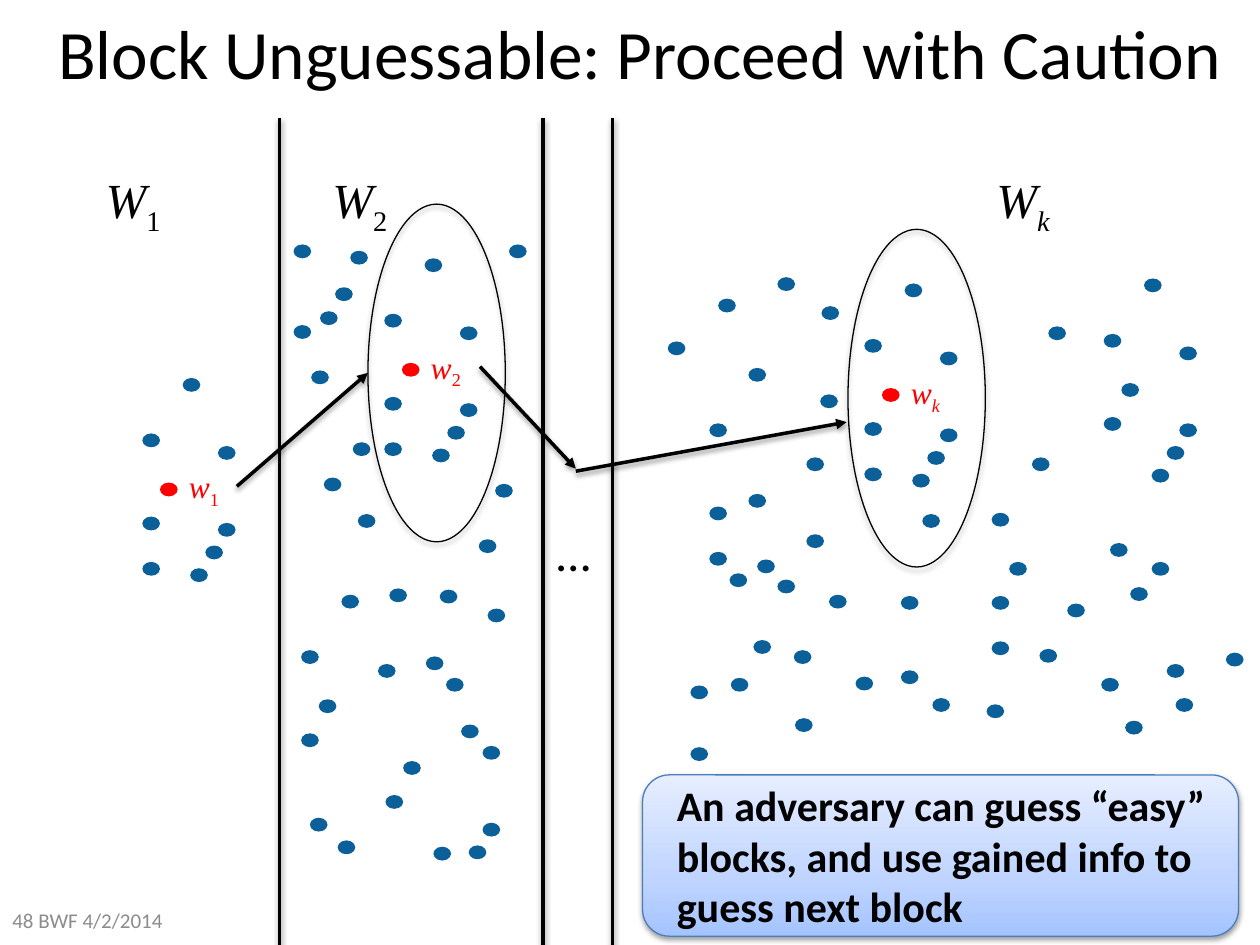
import pptx
import pptx.util
import pptx.dml.color
import pptx.enum.shapes
import pptx.enum.text
import pptx.oxml
import pptx.oxml.ns
from pptx.util import Inches

COLORS = {"ink": "000000", "dot": "0B609A", "guess": "FF0000",
          "edge": "4B7EBC", "footer": "8C8C8C"}
GRADIENT = [(0, "A4C4FF"), (35, "BFD4FF"), (100, "E6EEFF")]
SHAPES = pptx.enum.shapes.MSO_SHAPE
ANCHOR = pptx.enum.text.MSO_ANCHOR
ALIGN = pptx.enum.text.PP_ALIGN
QN = pptx.oxml.ns.qn


def rgb(name):
    return pptx.dml.color.RGBColor.from_string(COLORS[name])


def xml(tag, attrs="", inner=""):
    return pptx.oxml.parse_xml(
        f'<a:{tag} {pptx.oxml.ns.nsdecls("a")} {attrs}>{inner}</a:{tag}>')


class Deck:
    serif = "Times New Roman"
    sans = "Calibri"
    dot_size = (0.14, 0.11)

    def __init__(self):
        self.prs = pptx.Presentation()
        self.prs.slide_width, self.prs.slide_height = Inches(10), Inches(7.5)
        self.s = self.prs.slides.add_slide(self.prs.slide_layouts[6])

    def add_text(self, p, text, color="ink", baseline=0, **fmt):
        r = p.add_run()
        r.text = text
        r.font.color.rgb = rgb(color)
        for name, value in fmt.items():
            setattr(r.font, name, pptx.util.Pt(value) if name == "size" else value)
        if baseline:
            r.font._element.set("baseline", str(baseline * 1000))

    def frame(self, x, y, w, h, wrap=True, anchor=ANCHOR.TOP):
        tf = self.s.shapes.add_textbox(*map(Inches, (x, y, w, h))).text_frame
        tf.word_wrap = wrap
        tf.vertical_anchor = anchor
        return tf

    def label(self, x, y, w, h, text, wrap=True, anchor=ANCHOR.TOP,
              align=ALIGN.LEFT, **fmt):
        """Plain text in the sans font."""
        p = self.frame(x, y, w, h, wrap, anchor).paragraphs[0]
        p.alignment = align
        self.add_text(p, text, name=self.sans, **fmt)

    def variable(self, x, y, w, h, letter, index, size, color="ink", wrap=True):
        """Italic letter with a subscript."""
        p = self.frame(x, y, w, h, wrap).paragraphs[0]
        fmt = {"name": self.serif, "size": size, "color": color}
        self.add_text(p, letter, italic=True, **fmt)
        self.add_text(p, index, italic=index.isalpha(), baseline=-25, **fmt)

    def shadow(self, obj, alpha, dist):
        spPr = obj._element.spPr
        for old in spPr.findall(QN("a:effectLst")):
            spPr.remove(old)
        spPr.append(xml("effectLst", inner=(
            f'<a:outerShdw blurRad="{pptx.util.Pt(3.1)}" dist="{pptx.util.Pt(dist)}" '
            f'dir="5400000" rotWithShape="0"><a:srgbClr val="{COLORS["ink"]}">'
            f'<a:alpha val="{alpha * 1000}"/></a:srgbClr></a:outerShdw>')))

    def shape(self, kind, x, y, w, h, fill=None, line=None):
        sp = self.s.shapes.add_shape(kind, *map(Inches, (x, y, w, h)))
        sp.shadow.inherit = False
        if fill:
            sp.fill.solid()
            sp.fill.fore_color.rgb = rgb(fill)
        else:
            sp.fill.background()
        if line:
            sp.line.color.rgb = rgb(line)
            sp.line.width = pptx.util.Pt(0.75)
        else:
            sp.line.fill.background()
        return sp

    def dot(self, x, y, color="dot"):
        self.shape(SHAPES.OVAL, x, y, *self.dot_size, fill=color)

    def line(self, x1, y1, x2, y2, arrow=False):
        c = self.s.shapes.add_connector(
            pptx.enum.shapes.MSO_CONNECTOR.STRAIGHT, *map(Inches, (x1, y1, x2, y2)))
        c.line.color.rgb = rgb("ink")
        c.line.width = pptx.util.Pt(2)
        if arrow:
            c._element.spPr.find(QN("a:ln")).append(xml("tailEnd", 'type="triangle"'))
        self.shadow(c, 38, 1.6)

    def oval(self, x, y, w, h):
        self.shadow(self.shape(SHAPES.OVAL, x, y, w, h, line="ink"), 35, 1.8)

    def callout(self, x, y, w, h, text):
        sp = self.shape(SHAPES.ROUNDED_RECTANGLE, x, y, w, h, line="edge")
        sp.fill.gradient()
        sp.fill.gradient_angle = 90
        stops = sp._element.spPr.find(QN("a:gradFill")).find(QN("a:gsLst"))
        for old in list(stops):
            stops.remove(old)
        for pos, color in GRADIENT:
            stops.append(xml("gs", f'pos="{pos * 1000}"', f'<a:srgbClr val="{color}"/>'))
        self.shadow(sp, 38, 1.6)
        tf = sp.text_frame
        margins = {"left": 0.21, "top": 0.05, "right": 0.05, "bottom": 0.05}
        for side, value in margins.items():
            setattr(tf, f"margin_{side}", Inches(value))
        tf.word_wrap = True
        tf.vertical_anchor = ANCHOR.MIDDLE
        p = tf.paragraphs[0]
        p.alignment = ALIGN.LEFT
        self.add_text(p, text, name=self.sans, size=24, bold=True)


# Dots around each guessed value, as offsets from it
CLUSTER = [(0.18, -0.83), (0.36, 0.5), (0.46, -0.29), (-0.14, 0.63),
           (0.46, 0.32), (-0.14, -0.39), (-0.14, 0.27), (0.24, 0.68)]
# index, guessed dot, heading left, circled
BLOCKS = [("1", (1.27, 3.83), 0.74, False),
          ("2", (3.19, 2.88), 2.54, True),
          ("k", (7, 3.08), 7.81, True)]
# Remaining dots of blocks 2 and k
SCATTER_2 = [
    (3.38, 5.21), (2.68, 6.67), (3.2, 6.04), (3.66, 5.75), (3.87, 4.83), (3.8, 4.28),
    (3.93, 3.84), (3.06, 6.31), (3.44, 6.72), (3.54, 5.38), (3.72, 6.71), (2.47, 2.94),
    (3.83, 5.92), (3.49, 4.68), (3.83, 6.53), (3.09, 4.67), (2.46, 6.49), (2.84, 4.08),
    (2.71, 4.72), (2.66, 2.28), (2.53, 5.55), (3, 5.27), (2.8, 3.51), (2.57, 3.79),
    (2.39, 5.16), (2.39, 5.82), (2.54, 2.47), (2.33, 1.94), (4.04, 1.94), (2.78, 1.99),
    (2.33, 2.58)]
SCATTER_K = [
    (9.08, 2.21), (9.26, 3.54), (8.9, 3.04), (9.36, 2.75), (9.26, 5.27), (9.36, 3.36),
    (8.76, 2.65), (8.76, 3.31), (9.14, 3.72), (5.94, 2.92), (8.32, 2.59), (6.3, 5.16),
    (9.14, 4.46), (6.58, 4.72), (5.63, 4.02), (6.31, 5.7), (8.19, 3.63), (9.73, 5.18),
    (8.01, 4.46), (8.93, 5.72), (7.87, 5.09), (8.47, 4.79), (7.87, 4.07), (7.87, 4.73),
    (8.25, 5.15), (5.7, 2.37), (7.15, 5.32), (6.51, 3.13), (6.52, 2.43), (7.83, 5.59),
    (7.15, 4.73), (9.33, 5.54), (7.4, 5.54), (6.17, 4.6), (8.74, 5.38), (7.32, 4.08),
    (6.79, 5.37), (8.97, 4.66), (5.63, 4.38), (5.8, 5.38), (5.63, 3.36), (5.48, 5.93),
    (6.01, 4.44), (6.17, 2.2), (8.81, 4.31), (5.94, 3.92), (6.4, 3.63), (5.79, 4.55),
    (6.4, 4.24), (5.3, 2.71), (5.48, 5.44), (5.98, 5.08)]


def main():
    d = Deck()
    # Title
    d.label(0.16, -0.12, 9.84, 1.06, "Block Unguessable: Proceed with Caution",
            size=39.6, anchor=ANCHOR.MIDDLE, align=ALIGN.CENTER)
    # Blocks: heading, circle, guessed value and its neighbours
    for index, (x, y), left, circled in BLOCKS:
        d.variable(left, 1.3, 0.8, 0.57, "W", index, 28)
        if circled:
            d.oval(x - 0.27, y - 1.26, 1.09, 2.68)
        d.variable(x + 0.13, y - 0.17, 0.49, 0.4, "w", index, 18, "guess", wrap=False)
        for dx, dy in CLUSTER:
            d.dot(x + dx, y + dy)
        d.dot(x, y, "guess")
    for x, y in SCATTER_2 + SCATTER_K:
        d.dot(x, y)
    d.label(4.32, 4.1, 0.47, 0.57, "…", size=28, wrap=False)
    # Block dividers
    for x in (2.22, 4.31, 4.86):
        d.line(x, 0.94, x, 7.5)
    # Guessing path
    for ends in ((1.88, 3.86, 2.92, 2.96), (3.81, 2.91, 4.57, 3.72),
                 (4.57, 3.74, 6.72, 3.35)):
        d.line(*ends, arrow=True)
    # Conclusion and footer
    d.callout(5.1, 6.15, 4.73, 1.28, "An adversary can guess “easy” blocks, "
              "and use gained info to guess next block")
    d.label(0, 7.1, 2.33, 0.4, "48 BWF 4/2/2014", size=12, color="footer",
            anchor=ANCHOR.MIDDLE)
    d.prs.save("out.pptx")


if __name__ == "__main__":
    main()
